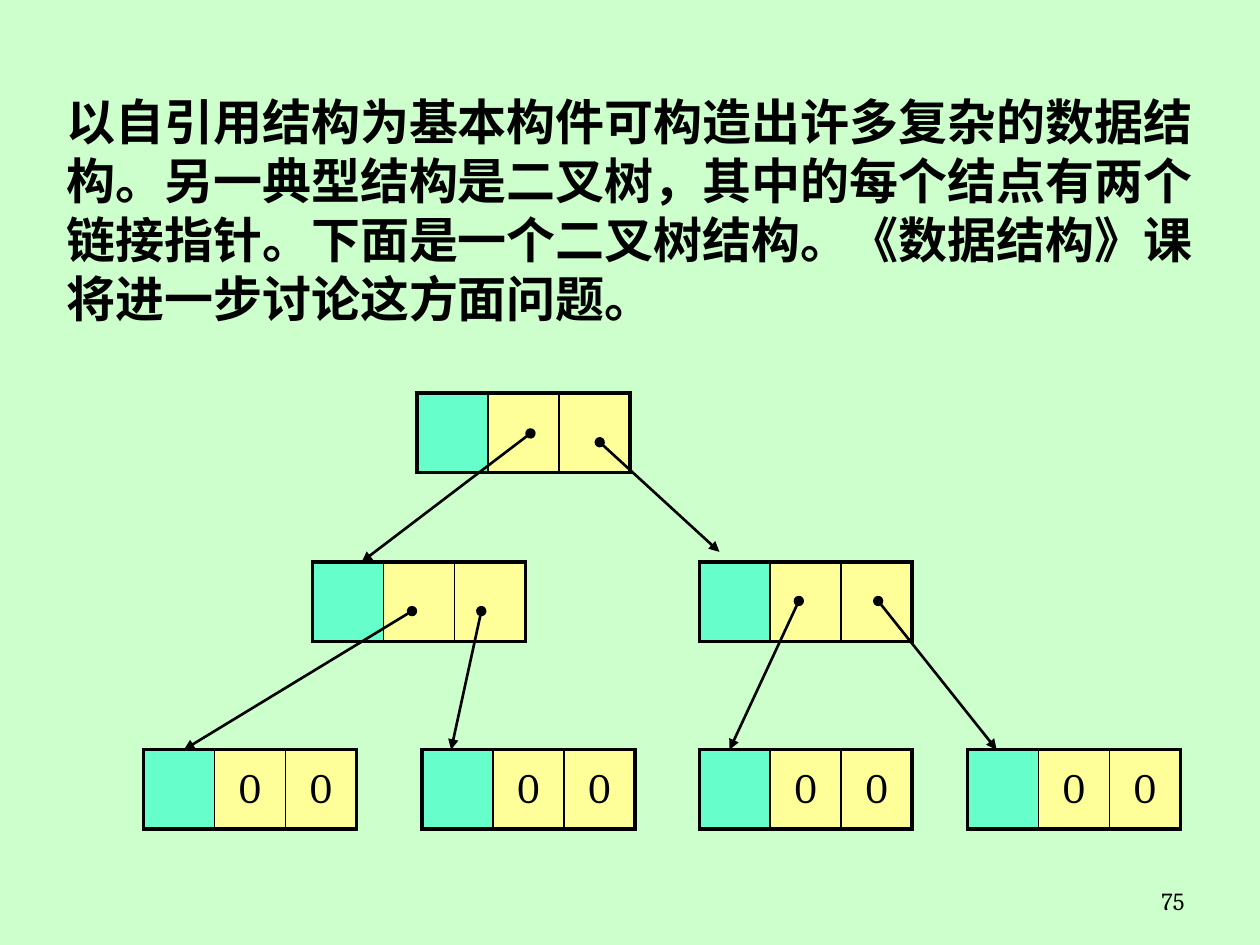
import dataclasses

import lxml.etree
import pptx
import pptx.dml.color
import pptx.enum.shapes
import pptx.enum.text
import pptx.oxml
import pptx.oxml.ns
import pptx.util


@dataclasses.dataclass(frozen=True)
class Theme:
    """Colours, font, type sizes and line widths in points."""
    background: str = "CCFFCC"
    ink: str = "000000"
    data: str = "66FFCC"
    link: str = "FFFF99"
    font: str = "Cambria"
    body: int = 28
    value: int = 24
    page: int = 14
    outer: float = 2.25
    inner: float = 1
    arrow: float = 1.5


COLUMNS, ROWS = 100, 75
NODE_WIDTH, NODE_HEIGHT = 16.9, 6.3
INTRODUCTION = (
    "以自引用结构为基本构件可构造出许多复杂的数据结构。"
    "另一典型结构是二叉树，其中的每个结点有两个链接指针。"
    "下面是一个二叉树结构。《数据结构》课将进一步讨论这方面问题。"
)
BRANCHES = [(33.1, 31.2), (24.8, 44.6), (55.5, 44.6)]
LEAF_TOP = 59.5
LEAF_LEFTS = [11.4, 33.5, 55.5, 76.8]
LINKS = [
    ((42.1, 34.4), (28.7, 44.6)),
    ((47.6, 35.1), (57.1, 43.8)),
    ((32.7, 48.5), (14.6, LEAF_TOP)),
    ((38.2, 48.5), (35.8, LEAF_TOP)),
    ((63.4, 47.7), (57.9, LEAF_TOP)),
    ((69.7, 47.7), (79.1, LEAF_TOP)),
]


class TreeSlide:
    """Draws text, tree nodes and links on a grid of COLUMNS by ROWS."""

    def __init__(self, presentation, theme):
        self.theme = theme
        self.column = presentation.slide_width / COLUMNS
        self.row = presentation.slide_height / ROWS
        self.slide = presentation.slides.add_slide(presentation.slide_layouts[6])
        self.paint(self.slide.background.fill, theme.background)

    def place(self, *lengths):
        """Turn alternating columns and rows into slide lengths."""
        units = (self.column, self.row) * 2
        return [round(length * unit) for length, unit in zip(lengths, units)]

    def paint(self, fill, color):
        """Give a fill one solid colour."""
        fill.solid()
        fill.fore_color.rgb = pptx.dml.color.RGBColor.from_string(color)

    def style_text(self, paragraph, text, size, alignment, bold=False):
        """Fill a paragraph with styled text."""
        paragraph.text = text
        paragraph.alignment = alignment
        font = paragraph.font
        font.name, font.size, font.bold = self.theme.font, pptx.util.Pt(size), bold
        self.paint(font.fill, self.theme.ink)

    def text(self, box, text, size, alignment, bold=False):
        """Add a wrapped text box."""
        frame = self.slide.shapes.add_textbox(*self.place(*box)).text_frame
        frame.word_wrap = True
        self.style_text(frame.paragraphs[0], text, size, alignment, bold)

    def border(self, cell, side, width):
        """Draw one side of a cell."""
        properties = cell._tc.get_or_add_tcPr()
        line = lxml.etree.SubElement(
            properties, pptx.oxml.ns.qn(f"a:ln{side}"), w=str(pptx.util.Pt(width)))
        fill = lxml.etree.SubElement(line, pptx.oxml.ns.qn("a:solidFill"))
        lxml.etree.SubElement(fill, pptx.oxml.ns.qn("a:srgbClr"), val=self.theme.ink)

    def node(self, left, top, values=("", "", "")):
        """Add a node with one data cell and two link cells."""
        theme = self.theme
        box = self.place(left, top, NODE_WIDTH, NODE_HEIGHT)
        table = self.slide.shapes.add_table(1, len(values), *box).table
        table.first_row = table.horz_banding = False
        last = len(values) - 1
        for index, value in enumerate(values):
            cell = table.cell(0, index)
            cell.vertical_anchor = pptx.enum.text.MSO_ANCHOR.MIDDLE
            self.border(cell, "L", theme.inner if index else theme.outer)
            self.border(cell, "R", theme.inner if index < last else theme.outer)
            self.border(cell, "T", theme.outer)
            self.border(cell, "B", theme.outer)
            self.paint(cell.fill, theme.link if index else theme.data)
            if value:
                self.style_text(cell.text_frame.paragraphs[0], value, theme.value,
                                pptx.enum.text.PP_ALIGN.CENTER)

    def link(self, start, end):
        """Add a pointer that runs from a dot to an arrowhead."""
        connector = self.slide.shapes.add_connector(
            pptx.enum.shapes.MSO_CONNECTOR.STRAIGHT, *self.place(*start, *end))
        connector.line.width = pptx.util.Pt(self.theme.arrow)
        self.paint(connector.line.fill, self.theme.ink)
        line = connector.line._get_or_add_ln()
        for tag, kind in (("a:headEnd", "oval"), ("a:tailEnd", "triangle")):
            lxml.etree.SubElement(line, pptx.oxml.ns.qn(tag), type=kind)
        lxml.etree.SubElement(connector._element.spPr, pptx.oxml.ns.qn("a:effectLst"))


def main():
    presentation = pptx.Presentation()
    presentation.slide_width = pptx.util.Inches(10)
    presentation.slide_height = pptx.util.Inches(7.5)
    theme = Theme()
    tree = TreeSlide(presentation, theme)
    alignments = pptx.enum.text.PP_ALIGN
    tree.text((71.7, 69.8, 23.3, 3.7), "75", theme.page, alignments.RIGHT)
    tree.text((4.3, 6.8, 93.2, 19.7), INTRODUCTION, theme.body, alignments.LEFT, bold=True)
    for left, top in BRANCHES:
        tree.node(left, top)
    for left in LEAF_LEFTS:
        tree.node(left, LEAF_TOP, ("", "0", "0"))
    for start, end in LINKS:
        tree.link(start, end)
    presentation.save("out.pptx")


if __name__ == "__main__":
    main()
